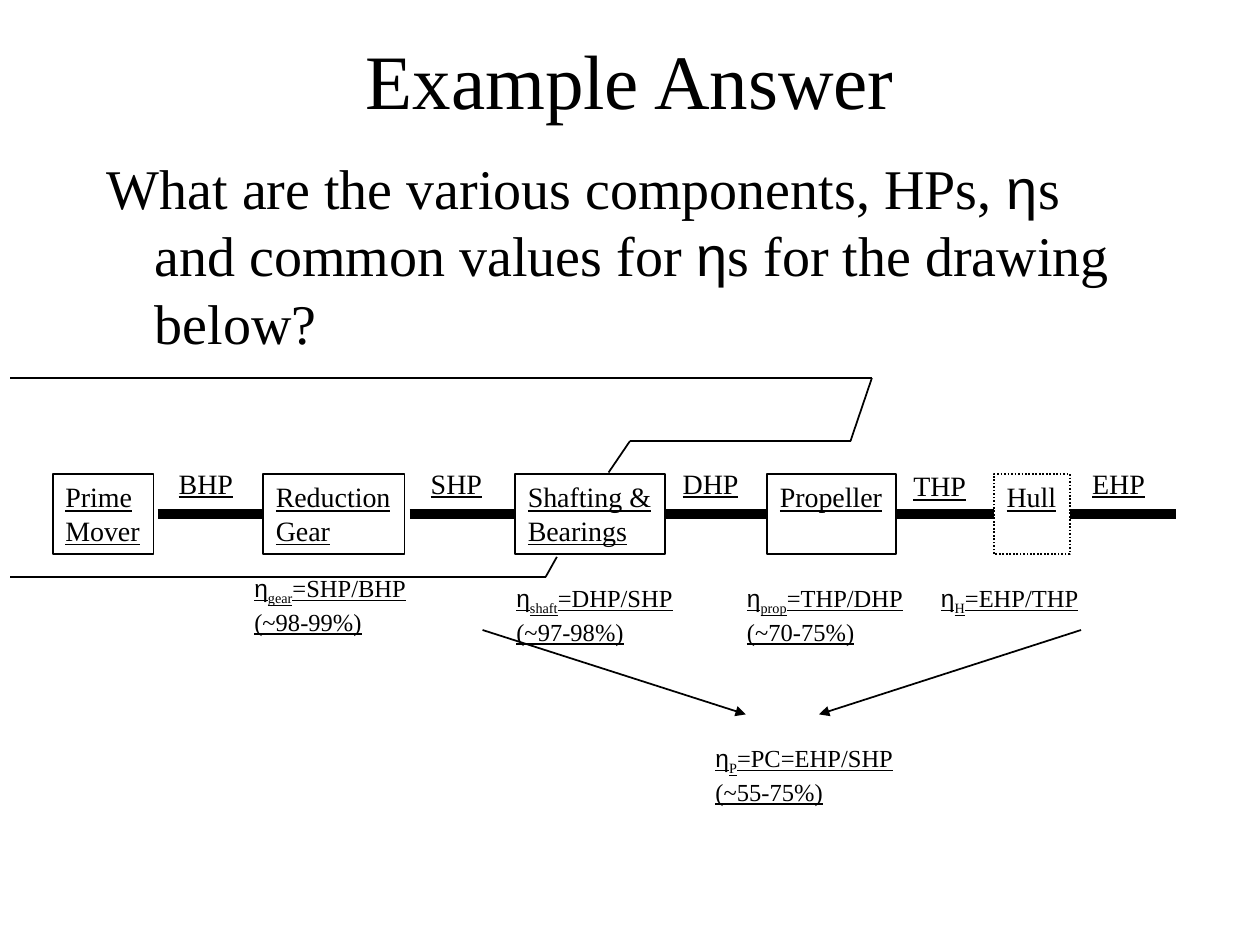
from itertools import pairwise

from lxml.etree import SubElement
from pptx import Presentation
from pptx.dml.color import RGBColor
from pptx.enum.dml import MSO_LINE
from pptx.enum.shapes import MSO_CONNECTOR, MSO_SHAPE
from pptx.enum.text import MSO_ANCHOR, PP_ALIGN
from pptx.oxml.ns import qn
from pptx.util import Inches, Pt

COLORS = {"ink": "000000", "paper": "FFFFFF"}
SERIF = "Times New Roman"
SANS = "Arial"
ETA = "η"
RIGHT, LEFT = 3, 1


class Sketch:
    def __init__(self, page):
        self.page = page
        self.ink = RGBColor.from_string(COLORS["ink"])
        fill = page.background.fill
        fill.solid()
        fill.fore_color.rgb = RGBColor.from_string(COLORS["paper"])

    def set_text(self, box, lines, size, underline=True, wrap=False,
                 align=PP_ALIGN.LEFT, anchor=MSO_ANCHOR.TOP, hanging=0):
        frame = box.text_frame
        frame.word_wrap = wrap
        frame.vertical_anchor = anchor
        for index, pieces in enumerate(lines):
            para = frame.add_paragraph() if index else frame.paragraphs[0]
            para.alignment = align
            if hanging:
                properties = para._p.get_or_add_pPr()
                properties.set("marL", str(Inches(hanging)))
                properties.set("indent", str(-Inches(hanging)))
            para.font.size = Pt(size)
            para.font.underline = underline
            para.font.color.rgb = self.ink
            for text, face, baseline in pieces:
                span = para.add_run()
                span.text = text
                span.font.name = face
                if baseline:
                    span._r.get_or_add_rPr().set("baseline", str(baseline))

    def text(self, left, top, width, height, lines, size, **style):
        box = self.page.shapes.add_textbox(
            Inches(left), Inches(top), Inches(width), Inches(height))
        self.set_text(box, lines, size, **style)

    def component(self, left, width, words, dotted=False):
        box = self.page.shapes.add_shape(
            MSO_SHAPE.RECTANGLE, Inches(left), Inches(3.76), Inches(width), Inches(0.64))
        box.shadow.inherit = False
        box.fill.background()
        box.line.color.rgb = self.ink
        box.line.width = Pt(1)
        if dotted:
            box.line.dash_style = MSO_LINE.ROUND_DOT
        self.set_text(box, [plain(word) for word in words], 16)
        return box

    def efficiency(self, left, top, width, subscript, ratio, percent=None):
        lines = [[(ETA, SANS, 0), (subscript, SERIF, -25000), (ratio, SERIF, 0)]]
        if percent:
            lines.append(plain(percent))
        self.text(left, top, width, 0.56 if percent else 0.33, lines, 14)

    def line(self, start, end, width=1, arrow=False):
        line = self.page.shapes.add_connector(
            MSO_CONNECTOR.STRAIGHT, *map(Inches, start + end))
        line.line.color.rgb = self.ink
        line.line.width = Pt(width)
        properties = line._element.spPr
        if arrow:
            SubElement(properties.get_or_add_ln(), qn("a:tailEnd"), type="triangle")
        SubElement(properties, qn("a:effectLst"))
        return line


def plain(text):
    return [(text, SERIF, 0)]


def main():
    deck = Presentation()
    deck.slide_width, deck.slide_height = Inches(10), Inches(7.5)
    sketch = Sketch(deck.slides.add_slide(deck.slide_layouts[6]))

    sketch.text(0.75, 0, 8.5, 1.25, [plain("Example Answer")], 44, underline=False,
                wrap=True, align=PP_ALIGN.CENTER, anchor=MSO_ANCHOR.MIDDLE)
    question = [
        ("What are the various components, HPs, ", SERIF, 0), (ETA, SANS, 0),
        ("s and common values for ", SERIF, 0), (ETA, SANS, 0),
        ("s for the drawing below?", SERIF, 0),
    ]
    sketch.text(0.75, 1.17, 8.5, 4.5, [question], 32, underline=False,
                wrap=True, hanging=0.38)

    sketch.component(0.42, 0.8, ["Prime", "Mover"])
    gear = sketch.component(2.09, 1.12, ["Reduction", "Gear"])
    bearings = sketch.component(4.09, 1.19, ["Shafting &", "Bearings"])
    propeller = sketch.component(6.09, 1.02, ["Propeller"])
    hull = sketch.component(7.89, 0.6, ["Hull"], dotted=True)

    shafts = [
        (1.25, None, gear), (3.25, None, bearings), (5.25, bearings, propeller),
        (7.08, propeller, hull), (8.5, hull, None),
    ]
    for left, source, target in shafts:
        shaft = sketch.line((left, 4.08), (left + 0.83, 4.08), width=6)
        if source:
            shaft.begin_connect(source, RIGHT)
        if target:
            shaft.end_connect(target, LEFT)

    powers = [
        (1.32, 3.65, 0.63, "BHP"), (3.32, 3.65, 0.61, "SHP"), (5.32, 3.65, 0.64, "DHP"),
        (7.15, 3.67, 0.62, "THP"), (8.57, 3.65, 0.62, "EHP"),
    ]
    for left, top, width, power in powers:
        sketch.text(left, top, width, 0.36, [plain(power)], 16)

    sketch.efficiency(1.92, 4.5, 1.43, "gear", "=SHP/BHP", "(~98-99%)")
    sketch.efficiency(4, 4.58, 1.47, "shaft", "=DHP/SHP", "(~97-98%)")
    sketch.efficiency(5.83, 4.58, 1.47, "prop", "=THP/DHP", "(~70-75%)")
    sketch.efficiency(7.37, 4.58, 1.3, "H", "=EHP/THP")
    sketch.efficiency(5.58, 5.85, 1.62, "P", "=PC=EHP/SHP", "(~55-75%)")

    sketch.line((3.83, 5), (5.92, 5.67), arrow=True)
    sketch.line((8.58, 5), (6.5, 5.67), arrow=True)

    deck_outline = [(0.08, 3), (6.92, 3), (6.75, 3.5), (5, 3.5), (4.83, 3.75)]
    keel_outline = [(4.42, 4.42), (4.33, 4.58), (0.08, 4.58)]
    for outline in (deck_outline, keel_outline):
        for start, end in pairwise(outline):
            sketch.line(start, end)

    deck.save("out.pptx")


if __name__ == "__main__":
    main()
